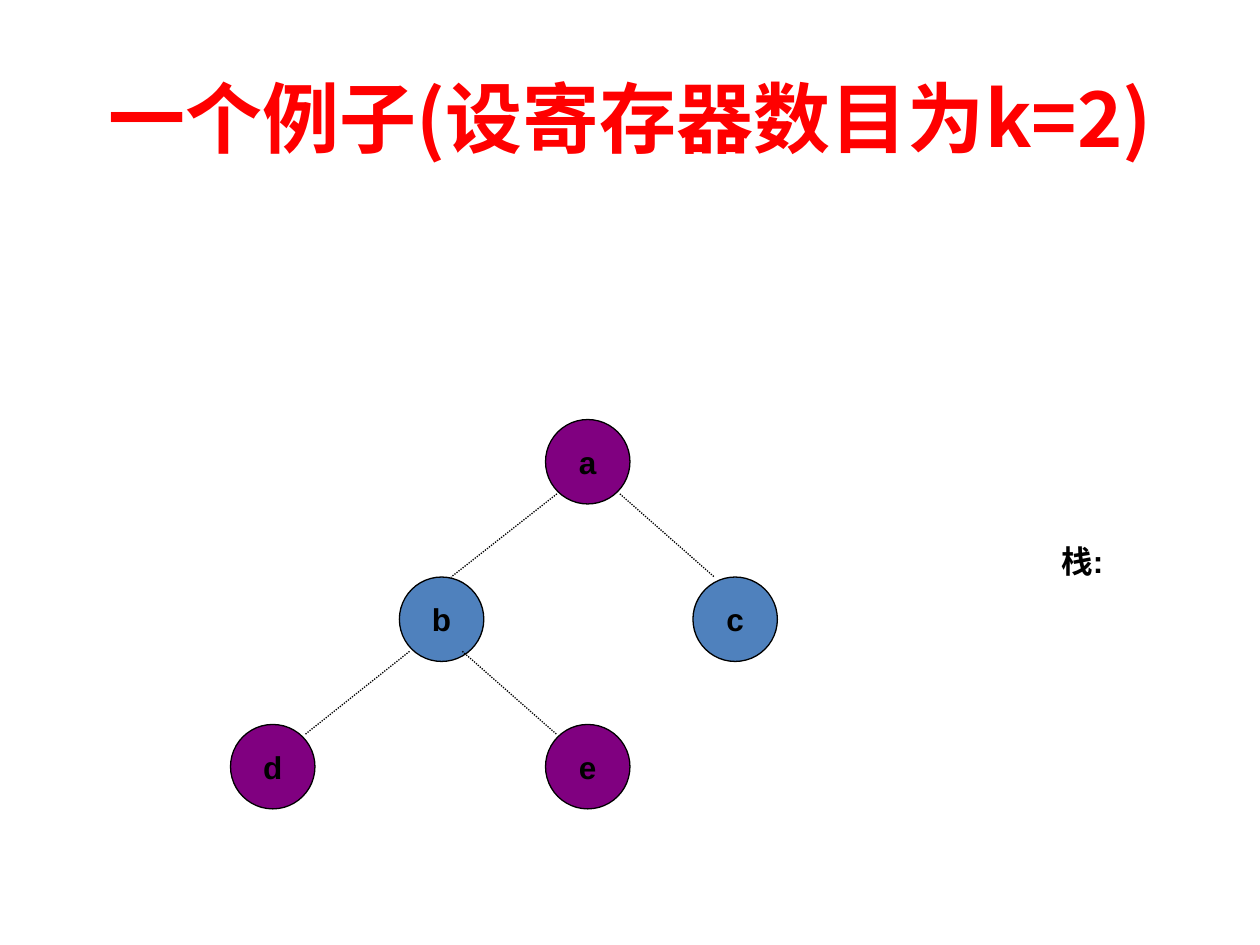
import pptx
import pptx.util
import pptx.dml.color
import pptx.enum.dml
import pptx.enum.shapes
import pptx.enum.text
import pptx.oxml.ns
from lxml import etree

Inches = pptx.util.Inches
Pt = pptx.util.Pt
Color = pptx.dml.color.RGBColor.from_string
Align = pptx.enum.text.PP_ALIGN
Anchor = pptx.enum.text.MSO_ANCHOR

TITLE = "一个例子(设寄存器数目为k=2)"
STACK_LABEL = "栈:"
NODES = [
    ("a", 4.33, 3.33, "purple"),
    ("b", 3.17, 4.58, "blue"),
    ("c", 5.5, 4.58, "blue"),
    ("d", 1.83, 5.75, "purple"),
    ("e", 4.33, 5.75, "purple"),
]
EDGES = [
    ((4.42, 3.92), (3.58, 4.58)),
    ((4.92, 3.92), (5.67, 4.58)),
    ((3.25, 5.17), (2.42, 5.83)),
    ((3.67, 5.17), (4.42, 5.83)),
]
NODE_SIZE = 0.67
THEME = {
    "purple": "800080", "blue": "4F81BD", "ink": "000000", "title": "FF0000",
    "title_font": "Noto Sans CJK SC", "font": "Arial",
    "title_size": 44, "size": 18, "line": 0.75,
}


def write(frame, text, font, size, color, anchor, wrap):
    frame.text = text
    frame.word_wrap = wrap
    frame.vertical_anchor = anchor
    paragraph = frame.paragraphs[0]
    paragraph.alignment = Align.CENTER
    paragraph.font.name = THEME[font]
    paragraph.font.size = Pt(THEME[size])
    paragraph.font.bold = True
    paragraph.font.color.rgb = Color(THEME[color])
    return paragraph


def style_line(line):
    line.color.rgb = Color(THEME["ink"])
    line.width = Pt(THEME["line"])


def add_title(slide):
    title = slide.shapes.title
    title.left, title.top, title.width, title.height = map(Inches, (0.5, 0.3, 9, 1.25))
    paragraph = write(title.text_frame, TITLE, "title_font", "title_size", "title",
                      Anchor.MIDDLE, True)
    run_properties = paragraph.runs[0].font
    run_properties.name = THEME["title_font"]
    latin = paragraph.runs[0]._r.rPr.find(pptx.oxml.ns.qn("a:latin"))
    east_asian = etree.Element(pptx.oxml.ns.qn("a:ea"), typeface=THEME["title_font"])
    latin.addnext(east_asian)


def add_node(slide, name, left, top, fill):
    node = slide.shapes.add_shape(pptx.enum.shapes.MSO_SHAPE.OVAL, Inches(left), Inches(top),
                                  Inches(NODE_SIZE), Inches(NODE_SIZE))
    node.shadow.inherit = False
    node.fill.solid()
    node.fill.fore_color.rgb = Color(THEME[fill])
    style_line(node.line)
    write(node.text_frame, name, "font", "size", "ink", Anchor.MIDDLE, False)


def add_edge(slide, start, end):
    edge = slide.shapes.add_connector(pptx.enum.shapes.MSO_CONNECTOR.STRAIGHT,
                                      *map(Inches, start + end))
    style_line(edge.line)
    edge.line.dash_style = pptx.enum.dml.MSO_LINE.ROUND_DOT
    etree.SubElement(edge._element.spPr, pptx.oxml.ns.qn("a:effectLst"))


def main():
    presentation = pptx.Presentation()
    presentation.slide_width = Inches(10)
    presentation.slide_height = Inches(7.5)
    slide = presentation.slides.add_slide(presentation.slide_layouts[5])
    add_title(slide)
    for node in NODES:
        add_node(slide, *node)
    for edge in EDGES:
        add_edge(slide, *edge)
    label = slide.shapes.add_textbox(*map(Inches, (8.32, 4.25, 0.54, 1.9)))
    write(label.text_frame, STACK_LABEL, "font", "size", "ink", Anchor.TOP, False)
    presentation.save("out.pptx")


if __name__ == "__main__":
    main()
